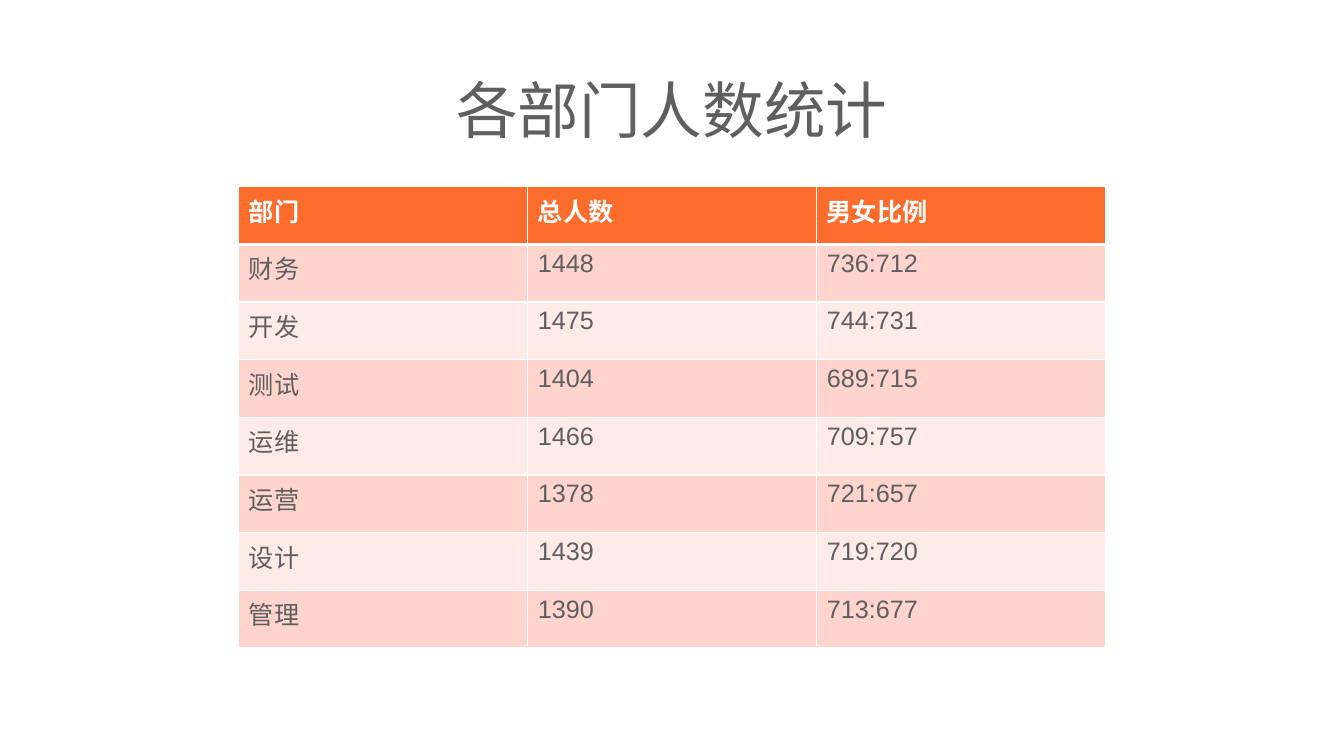
import pptx
import pptx.dml.color
import pptx.enum.text
import pptx.oxml
import pptx.oxml.ns
import pptx.util

Pt = pptx.util.Pt

TITLE = "各部门人数统计"
ROWS = [
    ("部门", "总人数", "男女比例"),
    ("财务", "1448", "736:712"),
    ("开发", "1475", "744:731"),
    ("测试", "1404", "689:715"),
    ("运维", "1466", "709:757"),
    ("运营", "1378", "721:657"),
    ("设计", "1439", "719:720"),
    ("管理", "1390", "713:677"),
]
WHITE, GREY, ORANGE = "FFFFFF", "5F5F5F", "FC6C2C"
BANDS = ("FEEBE8", "FED4CD")
COL_W, ROW_H = 206.4, 41.2


def color(code):
    return pptx.dml.color.RGBColor.from_string(code)


def style(para, size, code, bold=False):
    font = para.font
    font.name, font.size, font.bold = "Arial", Pt(size), bold
    font.color.rgb = color(code)


def border(cell, widths):
    """Draw white cell edges; widths maps L, R, T, B to points."""
    props = cell._tc.get_or_add_tcPr()
    for side, width in widths.items():
        props.append(pptx.oxml.parse_xml(
            f'<a:ln{side} {pptx.oxml.ns.nsdecls("a")} w="{Pt(width)}">'
            f'<a:solidFill><a:srgbClr val="{WHITE}"/></a:solidFill></a:ln{side}>'))


def add_title(slide):
    box = slide.shapes.add_textbox(Pt(66), Pt(28.75), Pt(828), Pt(104.4))
    frame = box.text_frame
    frame.word_wrap = True
    frame.vertical_anchor = pptx.enum.text.MSO_ANCHOR.MIDDLE
    para = frame.paragraphs[0]
    para.text = TITLE
    para.alignment = pptx.enum.text.PP_ALIGN.CENTER
    para.line_spacing = 0.9
    style(para, 44, GREY)


def add_staff(slide):
    count, cols = len(ROWS), len(ROWS[0])
    table = slide.shapes.add_table(
        count, cols, Pt(170.6), Pt(133.4),
        Pt(COL_W * cols), Pt(ROW_H * count)).table
    for col in table.columns:
        col.width = Pt(COL_W)
    for r, row in enumerate(ROWS):
        head = r == 0
        table.rows[r].height = Pt(ROW_H)
        for c, text in enumerate(row):
            cell = table.cell(r, c)
            cell.text = text
            style(cell.text_frame.paragraphs[0], 18, WHITE if head else GREY, head)
            border(cell, {"L": 1, "R": 1, "T": 3 if r == 1 else 1, "B": 3 if head else 1})
            cell.fill.solid()
            cell.fill.fore_color.rgb = color(ORANGE if head else BANDS[r % 2])


def main():
    deck = pptx.Presentation()
    deck.slide_width, deck.slide_height = Pt(960), Pt(540)
    slide = deck.slides.add_slide(deck.slide_layouts[6])
    add_staff(slide)
    add_title(slide)
    deck.save("out.pptx")


if __name__ == "__main__":
    main()
